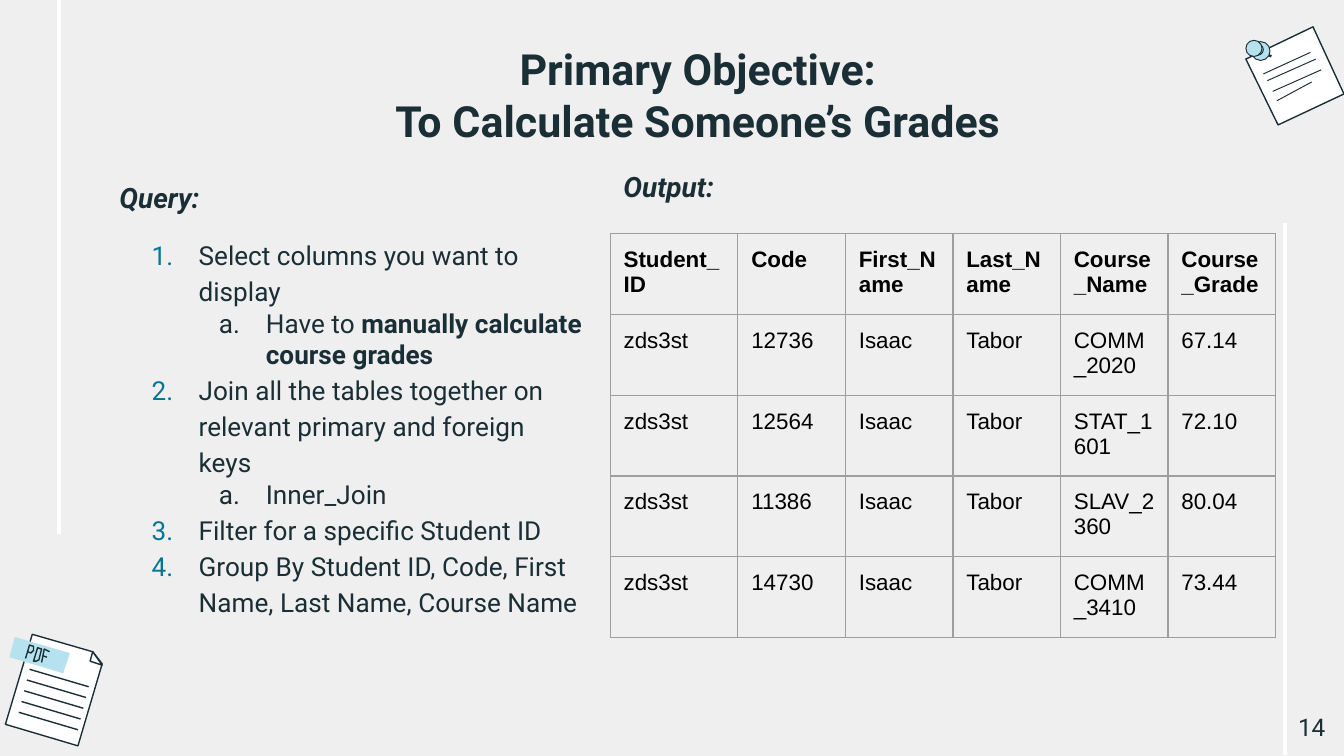
from lxml.etree import SubElement
from pptx import Presentation
from pptx.dml.color import RGBColor
from pptx.enum.shapes import MSO_CONNECTOR, MSO_SHAPE
from pptx.enum.text import MSO_ANCHOR, PP_ALIGN
from pptx.oxml.ns import qn
from pptx.util import Inches, Pt

COLORS = {
    "background": "EFEFEF",
    "ink": "1A2E35",
    "white": "FFFFFF",
    "sky": "B6E1EE",
    "teal": "027697",
    "border": "9E9E9E",
    "black": "000000",
}


def add_line(start, end, color, width):
    line = slide.shapes.add_connector(
        MSO_CONNECTOR.STRAIGHT, *(Inches(v) for v in (*start, *end))
    )
    line.line.color.rgb = RGBColor.from_string(COLORS[color])
    line.line.width = Pt(width)
    SubElement(line._element.spPr, qn("a:effectLst"))


def add_run(paragraph, text, size, color="ink", font="Roboto", bold=False, italic=False):
    run = paragraph.add_run()
    run.text = text
    run.font.name = font
    run.font.size = Pt(size)
    run.font.bold = bold
    run.font.italic = italic
    run.font.color.rgb = RGBColor.from_string(COLORS[color])


prs = Presentation()
prs.slide_width = Inches(10)
prs.slide_height = Inches(10) * 9 // 16
slide = prs.slides.add_slide(prs.slide_layouts[6])
slide.background.fill.solid()
slide.background.fill.fore_color.rgb = RGBColor.from_string(COLORS["background"])

paper_parts = [
    ([(0.24, 4.72), (0.69, 4.85), (0.76, 4.94), (0.58, 5.55), (0.04, 5.39)], "white", "ink"),
    ([(0.69, 4.85), (0.67, 4.92), (0.76, 4.95)], "white", "ink"),
    ([(0.11, 4.74), (0.52, 4.86), (0.47, 5.01), (0.07, 4.89)], "sky", None),
    ([(9.27, 0.44), (9.77, 0.2), (10, 0.7), (9.51, 0.93)], "white", "ink"),
]
letter_strokes = [
    [(0.19, 4.9), (0.22, 4.8), (0.25, 4.81), (0.25, 4.84), (0.23, 4.86), (0.21, 4.85)],
    [(0.25, 4.92), (0.28, 4.82), (0.31, 4.83), (0.29, 4.91), (0.27, 4.92), (0.25, 4.92)],
    [(0.31, 4.93), (0.33, 4.83), (0.37, 4.85)],
    [(0.32, 4.88), (0.35, 4.89)],
]
outlines = paper_parts + [(points, None, "ink") for points in letter_strokes]
for points, fill, stroke in outlines:
    corners = [(Inches(x), Inches(y)) for x, y in points]
    builder = slide.shapes.build_freeform(*corners[0])
    builder.add_line_segments(corners[1:], close=fill is not None)
    outline = builder.convert_to_shape()
    outline.shadow.inherit = False
    if fill:
        outline.fill.solid()
        outline.fill.fore_color.rgb = RGBColor.from_string(COLORS[fill])
    else:
        outline.fill.background()
    if stroke:
        outline.line.color.rgb = RGBColor.from_string(COLORS[stroke])
        outline.line.width = Pt(0.75)
    else:
        outline.line.fill.background()

for row in range(5):
    left, top = 0.22 - 0.02 * row, 4.98 + 0.08 * row
    add_line((left, top), (left + 0.44, top + 0.13), "ink", 0.75)

note_lines = [
    ((9.4, 0.55), (9.75, 0.39)),
    ((9.43, 0.6), (9.79, 0.44)),
    ((9.47, 0.68), (9.83, 0.52)),
    ((9.5, 0.75), (9.76, 0.61)),
]
for start, end in note_lines:
    add_line(start, end, "ink", 0.5)

add_line((9.42, 0.4), (9.46, 0.42), "ink", 1.25)
for center_x, center_y, radius in [(9.38, 0.38, 0.07), (9.36, 0.37, 0.04), (9.33, 0.36, 0.06)]:
    pin = slide.shapes.add_shape(
        MSO_SHAPE.OVAL,
        Inches(center_x - radius), Inches(center_y - radius),
        Inches(2 * radius), Inches(2 * radius),
    )
    pin.shadow.inherit = False
    pin.fill.solid()
    pin.fill.fore_color.rgb = RGBColor.from_string(COLORS["sky"])
    pin.line.color.rgb = RGBColor.from_string(COLORS["ink"])
    pin.line.width = Pt(0.5)

add_line((0.44, 0), (0.44, 3.97), "white", 2.25)
add_line((9.56, 1.66), (9.56, 5.62), "white", 2.25)

title = ["Primary Objective:", "To Calculate Someone’s Grades"]
steps = [
    (0, [("Select columns you want to display", False)]),
    (1, [("Have to ", False), ("manually calculate course grades", True)]),
    (0, [("Join all the tables together on relevant primary and foreign keys", False)]),
    (1, [("Inner_Join", False)]),
    (0, [("Filter for a specific Student ID", False)]),
    (0, [("Group By Student ID, Code, First Name, Last Name, Course Name", False)]),
]
text_blocks = [
    ((0.98, 0.22, 8.43, 0.63), PP_ALIGN.CENTER, MSO_ANCHOR.TOP, 23, False,
     [(None, [(line, True)]) for line in title]),
    ((0.88, 1.65, 3.56, 3.67), PP_ALIGN.LEFT, MSO_ANCHOR.TOP, 14, False, steps),
    ((4.54, 1.16, 2.1, 0.34), PP_ALIGN.LEFT, MSO_ANCHOR.TOP, 15, True, [(None, [("Output:", True)])]),
    ((0.79, 1.24, 2.1, 0.34), PP_ALIGN.LEFT, MSO_ANCHOR.TOP, 15, True, [(None, [("Query:", True)])]),
    ((9.36, 5.19, 0.6, 0.43), PP_ALIGN.RIGHT, MSO_ANCHOR.MIDDLE, 13, False, [(None, [("14", False)])]),
]
for position, align, anchor, size, italic, paragraphs in text_blocks:
    frame = slide.shapes.add_textbox(*(Inches(v) for v in position)).text_frame
    frame.word_wrap = True
    frame.vertical_anchor = anchor
    frame.margin_left = frame.margin_right = Inches(0.1)
    frame.margin_top = frame.margin_bottom = Inches(0.1)
    for index, (level, runs) in enumerate(paragraphs):
        paragraph = frame.add_paragraph() if index else frame.paragraphs[0]
        paragraph.alignment = align
        for text, bold in runs:
            add_run(paragraph, text, size, bold=bold, italic=italic)
        if level is None:
            continue
        paragraph.level = level
        paragraph.line_spacing = 1.0 if level else 1.15
        properties = paragraph._p.get_or_add_pPr()
        properties.set("marL", str(Inches(0.5 * (level + 1))))
        properties.set("indent", str(Inches(-0.35)))
        bullet_color = SubElement(properties, qn("a:buClr"))
        SubElement(bullet_color, qn("a:srgbClr"), val=COLORS["ink" if level else "teal"])
        SubElement(properties, qn("a:buFont"), typeface="Roboto")
        SubElement(properties, qn("a:buAutoNum"), type="alphaLcPeriod" if level else "arabicPeriod")

header = ["Student_ID", "Code", "First_Name", "Last_Name", "Course_Name", "Course_Grade"]
courses = [
    ("12736", "COMM_2020", "67.14"),
    ("12564", "STAT_1601", "72.10"),
    ("11386", "SLAV_2360", "80.04"),
    ("14730", "COMM_3410", "73.44"),
]
grade_rows = [header] + [
    ["zds3st", code, "Isaac", "Tabor", course, grade] for code, course, grade in courses
]
column_widths = [0.95] + [0.8] * 5
row_heights = [0.46, 0.51, 0.49, 0.49, 0.51]
grades = slide.shapes.add_table(
    len(grade_rows), len(header),
    Inches(4.54), Inches(1.74), Inches(sum(column_widths)), Inches(sum(row_heights)),
).table
grades.first_row = False
grades.horz_banding = False
for column, width in zip(grades.columns, column_widths):
    column.width = Inches(width)
for row_index, (values, height) in enumerate(zip(grade_rows, row_heights)):
    grades.rows[row_index].height = Inches(height)
    for column_index, value in enumerate(values):
        cell = grades.cell(row_index, column_index)
        cell.margin_left = cell.margin_right = Inches(0.1)
        cell.margin_top = cell.margin_bottom = Inches(0.1)
        for side in ("lnL", "lnR", "lnT", "lnB"):
            border = SubElement(cell._tc.get_or_add_tcPr(), qn(f"a:{side}"), w=str(Pt(0.75)))
            border_fill = SubElement(border, qn("a:solidFill"))
            SubElement(border_fill, qn("a:srgbClr"), val=COLORS["border"])
        cell.fill.background()
        add_run(cell.text_frame.paragraphs[0], value, 12, "black", "Arial", bold=row_index == 0)

prs.save("out.pptx")
